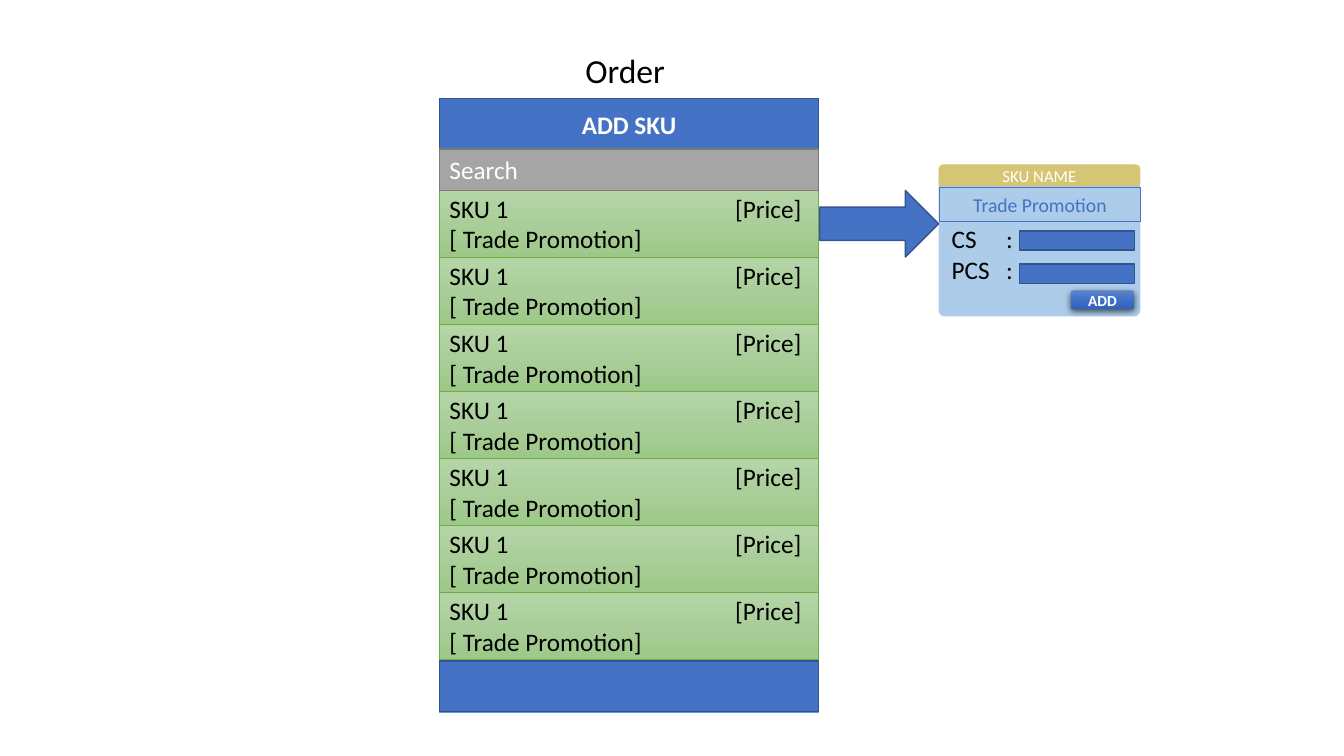
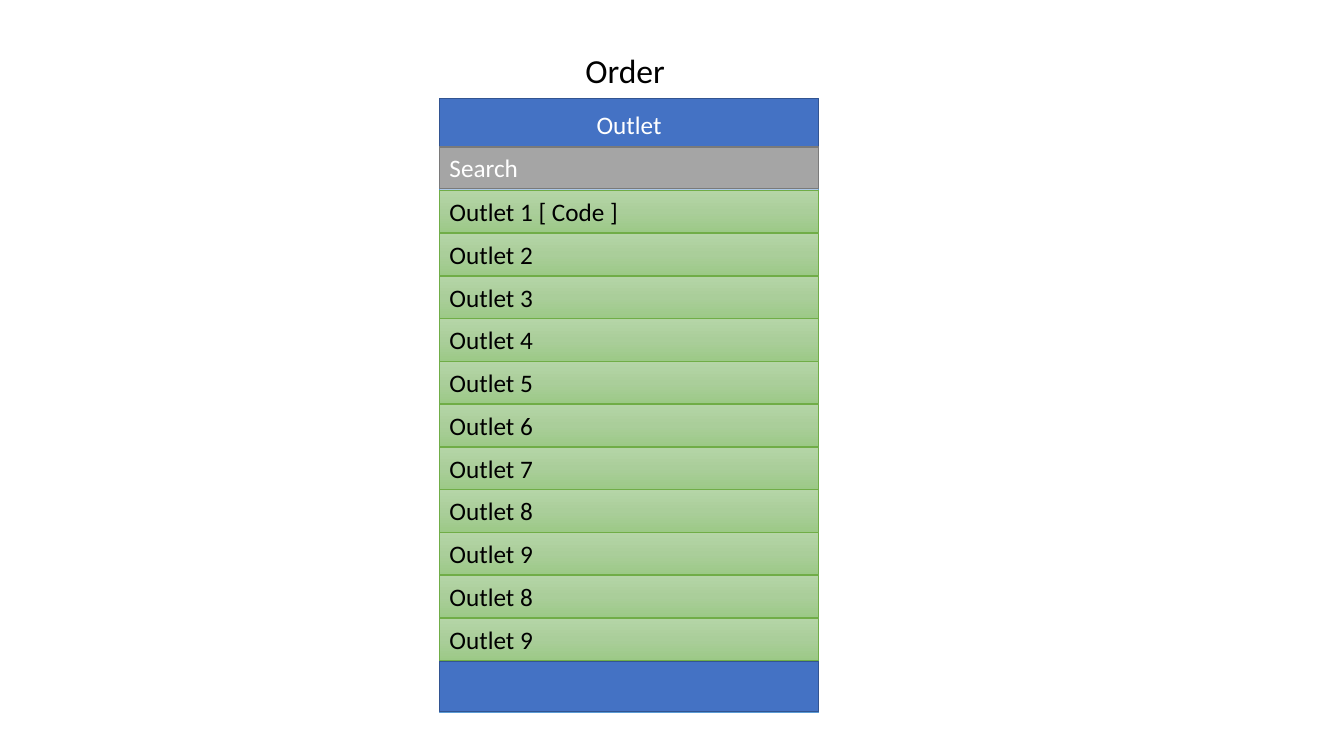
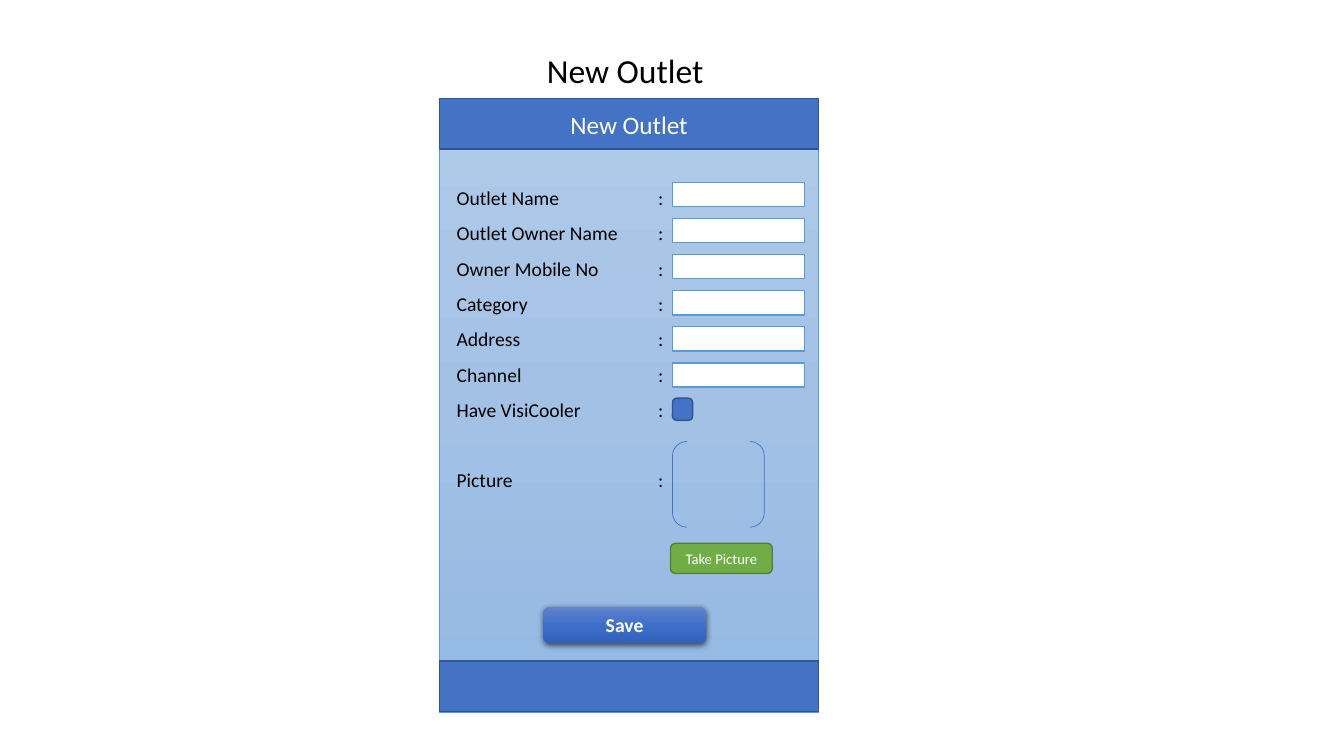
from dataclasses import dataclass
from typing import NamedTuple, Optional, Sequence, Union

from lxml import etree
from pptx import Presentation
from pptx.dml.color import RGBColor
from pptx.enum import shapes, text
from pptx.oxml import ns
from pptx.util import Inches, Pt

KIND = shapes.MSO_SHAPE
ALIGN = text.PP_ALIGN
ANCHOR = text.MSO_ANCHOR


# Theme
@dataclass(frozen=True)
class Theme:
    font: str = "Calibri"
    black: str = "000000"
    white: str = "FFFFFF"
    blue: str = "4472C4"
    blue_edge: str = "325491"
    sky: str = "5B9BD5"
    gold: str = "FFC000"
    grey: str = "A5A5A5"
    grey_edge: str = "7A7A7A"
    green: str = "70AD47"
    green_edge: str = "538035"
    panel_fade: tuple = ("B1CBE9", "A3C1E5", "93B9E4")
    row_fade: tuple = ("B5D5A7", "AACE9A", "9CC987")
    button_fade: tuple = ("6183CB", "3E70CA", "3062BB")
    title_size: float = 24
    body_size: float = 18
    form_size: float = 14
    caption_size: float = 12
    button_size: float = 11
    small_size: float = 10.5


T = Theme()


class Box(NamedTuple):
    left: float
    top: float
    width: float
    height: float

    def lengths(self) -> list:
        return [Inches(v) for v in self]


class Tab(NamedTuple):
    pos: float
    align: str = "l"


@dataclass(frozen=True)
class Look:
    fill: Union[str, tuple, None] = None
    line: Optional[str] = None
    weight: float = 1
    alpha: Optional[int] = None
    shadow: bool = False


@dataclass(frozen=True)
class Type:
    size: float = T.body_size
    color: str = T.white
    bold: bool = False
    align: ALIGN = ALIGN.CENTER
    tab: Optional[Tab] = None
    spacing: Optional[float] = None


BAND = Look(T.blue, T.blue_edge)
PANEL = Look(T.panel_fade, T.sky, 0.5)
ROW = Look(T.row_fade, T.green, 0.5)
SEARCH = Look(T.grey, T.grey_edge)
FIELD = Look(T.white, T.sky)
BUTTON = Look(T.button_fade, shadow=True)

# Phone frame
LEFT, WIDTH = 4.36, 3.76
TITLE_BOX = Box(4.7, 0.44, 3, 0.5)
PANEL_BOX = Box(LEFT, 0.98, WIDTH, 6.09)
BAND_HEIGHT = 0.5
HEADER_TOP, FOOTER_TOP = 0.98, 6.56
LIST_TOP = 1.89
SEARCH_HEIGHT = 0.41


# Drawing helpers
def sub(parent, tag: str, **attrs):
    return etree.SubElement(parent, ns.qn(tag), {k: str(v) for k, v in attrs.items()})


def fade(sp, colors: Sequence[str]) -> None:
    """Top-to-bottom gradient with evenly spaced stops."""
    grad = etree.Element(ns.qn("a:gradFill"), rotWithShape="1")
    stops = sub(grad, "a:gsLst")
    for i, color in enumerate(colors):
        gs = sub(stops, "a:gs", pos=i * 100000 // (len(colors) - 1))
        sub(gs, "a:srgbClr", val=color)
    sub(grad, "a:lin", ang=5400000, scaled=0)
    sp.element.spPr.find(ns.qn("a:prstGeom")).addnext(grad)


def paint(sp, look: Look) -> None:
    if look.fill is None:
        sp.fill.background()
    elif isinstance(look.fill, tuple):
        fade(sp, look.fill)
    else:
        sp.fill.solid()
        sp.fill.fore_color.rgb = RGBColor.from_string(look.fill)
        if look.alpha is not None:
            clr = sp.element.spPr.find(ns.qn("a:solidFill"))[0]
            sub(clr, "a:alpha", val=look.alpha * 1000)
    if look.line:
        sp.line.color.rgb = RGBColor.from_string(look.line)
        sp.line.width = Pt(look.weight)
    else:
        sp.line.fill.background()
    sp.shadow.inherit = False
    if look.shadow:
        effects = sp.element.spPr.find(ns.qn("a:effectLst"))
        outer = sub(effects, "a:outerShdw", blurRad=Pt(4.5), dist=Pt(1.5),
                    dir=5400000, algn="ctr", rotWithShape=0)
        sub(sub(outer, "a:srgbClr", val=T.black), "a:alpha", val=63000)


def write(tf, lines: Sequence[str], style: Type, anchor=ANCHOR.MIDDLE) -> None:
    tf.word_wrap = True
    tf.auto_size = text.MSO_AUTO_SIZE.NONE
    tf.vertical_anchor = anchor
    for i, line in enumerate(lines):
        p = tf.paragraphs[0] if i == 0 else tf.add_paragraph()
        p.text = line
        p.alignment = style.align
        if style.spacing:
            p.line_spacing = style.spacing
        if style.tab:
            tabs = sub(p._p.get_or_add_pPr(), "a:tabLst")
            sub(tabs, "a:tab", pos=Inches(style.tab.pos), algn=style.tab.align)
        p.font.name = T.font
        p.font.size = Pt(style.size)
        p.font.bold = style.bold
        p.font.color.rgb = RGBColor.from_string(style.color)


def shape(s, box: Box, look: Look, lines: Sequence[str] = (),
          style: Type = Type(), kind=KIND.RECTANGLE, adj: Optional[float] = None):
    sp = s.shapes.add_shape(kind, *box.lengths())
    if adj is not None:
        sp.adjustments[0] = adj
    paint(sp, look)
    if lines:
        write(sp.text_frame, lines, style)
    return sp


def label(s, box: Box, lines: Sequence[str], style: Type):
    tf = s.shapes.add_textbox(*box.lengths()).text_frame
    write(tf, lines, style, ANCHOR.TOP)
    return tf


# Shared parts
def phone(prs, title: str, header: str, bold: bool = False):
    s = prs.slides.add_slide(prs.slide_layouts[5])
    sp = s.shapes.title
    sp.left, sp.top, sp.width, sp.height = TITLE_BOX.lengths()
    write(sp.text_frame, [title], Type(T.title_size, T.black), ANCHOR.TOP)
    shape(s, PANEL_BOX, PANEL)
    shape(s, Box(LEFT, HEADER_TOP, WIDTH, BAND_HEIGHT), BAND, [header], Type(bold=bold))
    shape(s, Box(LEFT, FOOTER_TOP, WIDTH, BAND_HEIGHT), BAND)
    return s


def rows(s, entries: Sequence[Sequence[str]], last_top: float, height: float) -> None:
    pitch = (last_top - LIST_TOP) / (len(entries) - 1)
    style = Type(color=T.black, align=ALIGN.LEFT, tab=Tab(3.49, "r"))
    for i, lines in enumerate(entries):
        shape(s, Box(LEFT, LIST_TOP + i * pitch, WIDTH, height), ROW, lines, style)


def search(s, top: float) -> None:
    shape(s, Box(LEFT, top, WIDTH, SEARCH_HEIGHT), SEARCH, ["Search"],
          Type(align=ALIGN.LEFT))


# Slides
def add_sku_slide(prs) -> None:
    s = phone(prs, "Order", "ADD SKU", bold=True)
    rows(s, [["SKU 1\t[Price]", "[ Trade Promotion]"]] * 7, 5.88, 0.66)
    search(s, 1.48)

    # Quantity card
    shape(s, Box(9.31, 1.63, 2, 1.51), Look(T.sky, alpha=50),
          kind=KIND.ROUNDED_RECTANGLE, adj=0.04)
    shape(s, Box(8.13, 1.89, 1.18, 0.66), BAND, kind=KIND.RIGHT_ARROW)
    shape(s, Box(9.31, 1.63, 2, 0.22), Look(T.gold, alpha=50), ["SKU NAME"],
          Type(T.caption_size), KIND.ROUNDED_RECTANGLE)
    label(s, Box(9.34, 2.17, 1.28, 0.71), ["CS\t:", "PCS\t:"],
          Type(color=T.black, align=ALIGN.LEFT, tab=Tab(0.54)))
    for top in (2.29, 2.62):
        shape(s, Box(10.11, top, 1.14, 0.19), BAND)
    shape(s, Box(10.62, 2.88, 0.63, 0.19), BUTTON, ["ADD"],
          Type(T.button_size, bold=True), KIND.ROUNDED_RECTANGLE)
    shape(s, Box(9.32, 1.86, 1.99, 0.34), Look(line=T.blue, weight=0.75),
          ["Trade Promotion"], Type(T.form_size, T.blue))


def outlet_list_slide(prs) -> None:
    s = phone(prs, "Order", "Outlet")
    search(s, 1.46)
    names = ["Outlet 1 [ Code ]"] + [f"Outlet {n}" for n in (*range(2, 10), 8, 9)]
    rows(s, [[name] for name in names], 6.13, 0.42)


def new_outlet_slide(prs) -> None:
    s = phone(prs, "New Outlet", "New Outlet")
    shape(s, Box(5.39, 6.02, 1.61, 0.36), BUTTON, ["Save"],
          Type(T.form_size, bold=True), KIND.ROUNDED_RECTANGLE)

    # Form labels and fields
    names = ["Outlet Name", "Outlet Owner Name", "Owner Mobile No", "Category",
             "Address", "Channel", "Have VisiCooler", "Picture"]
    tf = label(s, Box(4.43, 1.68, 3.54, 3.6), [f"{name}\t:" for name in names],
               Type(T.form_size, T.black, align=ALIGN.LEFT, tab=Tab(2), spacing=1.5))
    tf.paragraphs[-1].space_before = Pt(25)
    field_count, first_top, last_top = 6, 1.81, 3.6
    pitch = (last_top - first_top) / (field_count - 1)
    for i in range(field_count):
        shape(s, Box(6.67, first_top + i * pitch, 1.31, 0.24), FIELD)

    # Picture area and check box
    shape(s, Box(6.67, 4.38, 0.91, 0.85), Look(line=T.blue, weight=0.5),
          kind=KIND.DOUBLE_BRACKET)
    sp = shape(s, Box(6.65, 5.39, 1.01, 0.3), Look(T.green, T.green_edge),
               ["Take Picture"], Type(T.small_size), KIND.ROUNDED_RECTANGLE)
    sp.text_frame.margin_left = sp.text_frame.margin_right = Inches(0.05)
    shape(s, Box(6.67, 3.95, 0.2, 0.22), BAND, kind=KIND.ROUNDED_RECTANGLE, adj=0.21)


def main() -> None:
    prs = Presentation()
    prs.slide_width, prs.slide_height = Inches(13.33), Inches(7.5)
    add_sku_slide(prs)
    outlet_list_slide(prs)
    new_outlet_slide(prs)
    prs.save("out.pptx")


if __name__ == "__main__":
    main()
